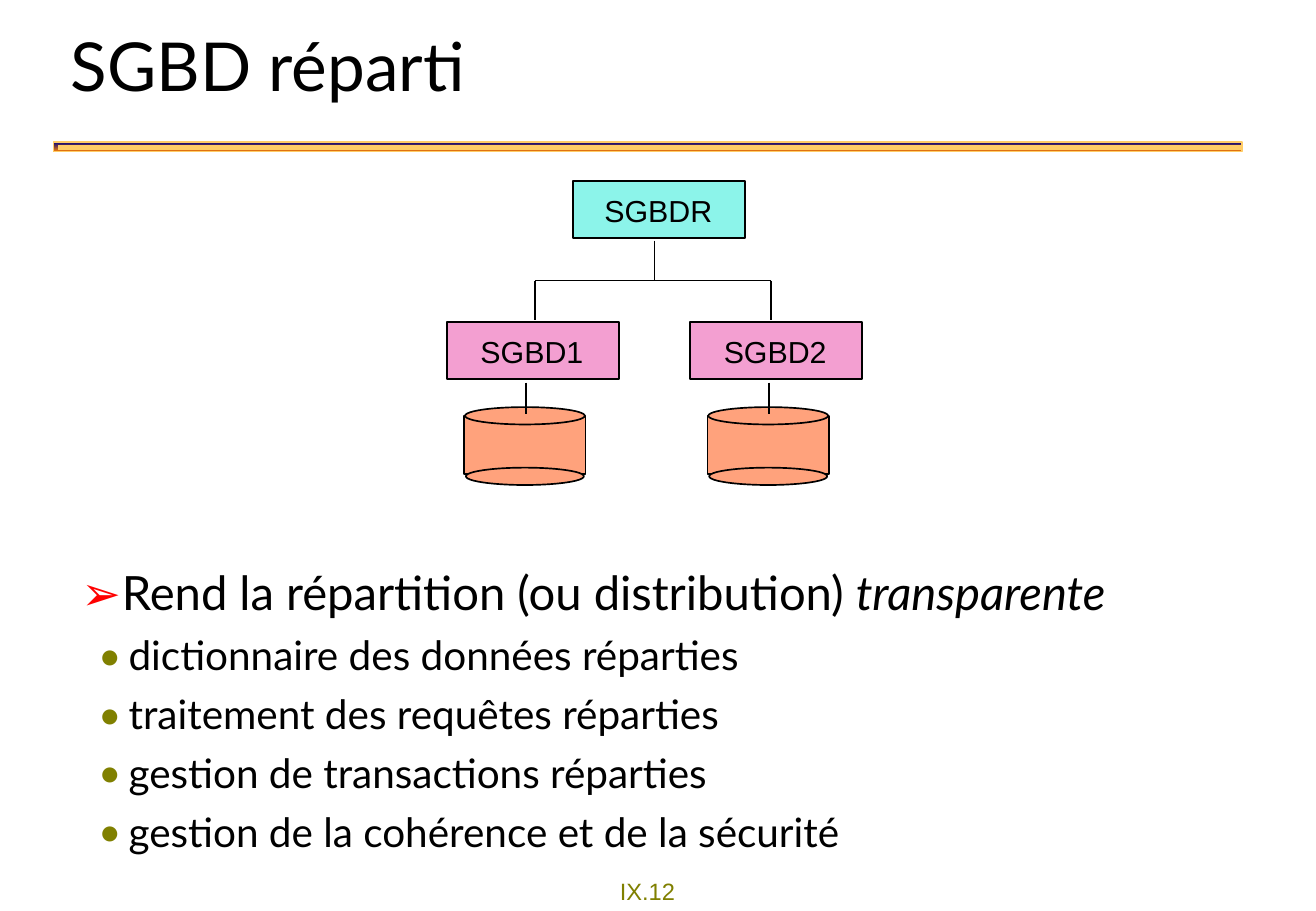
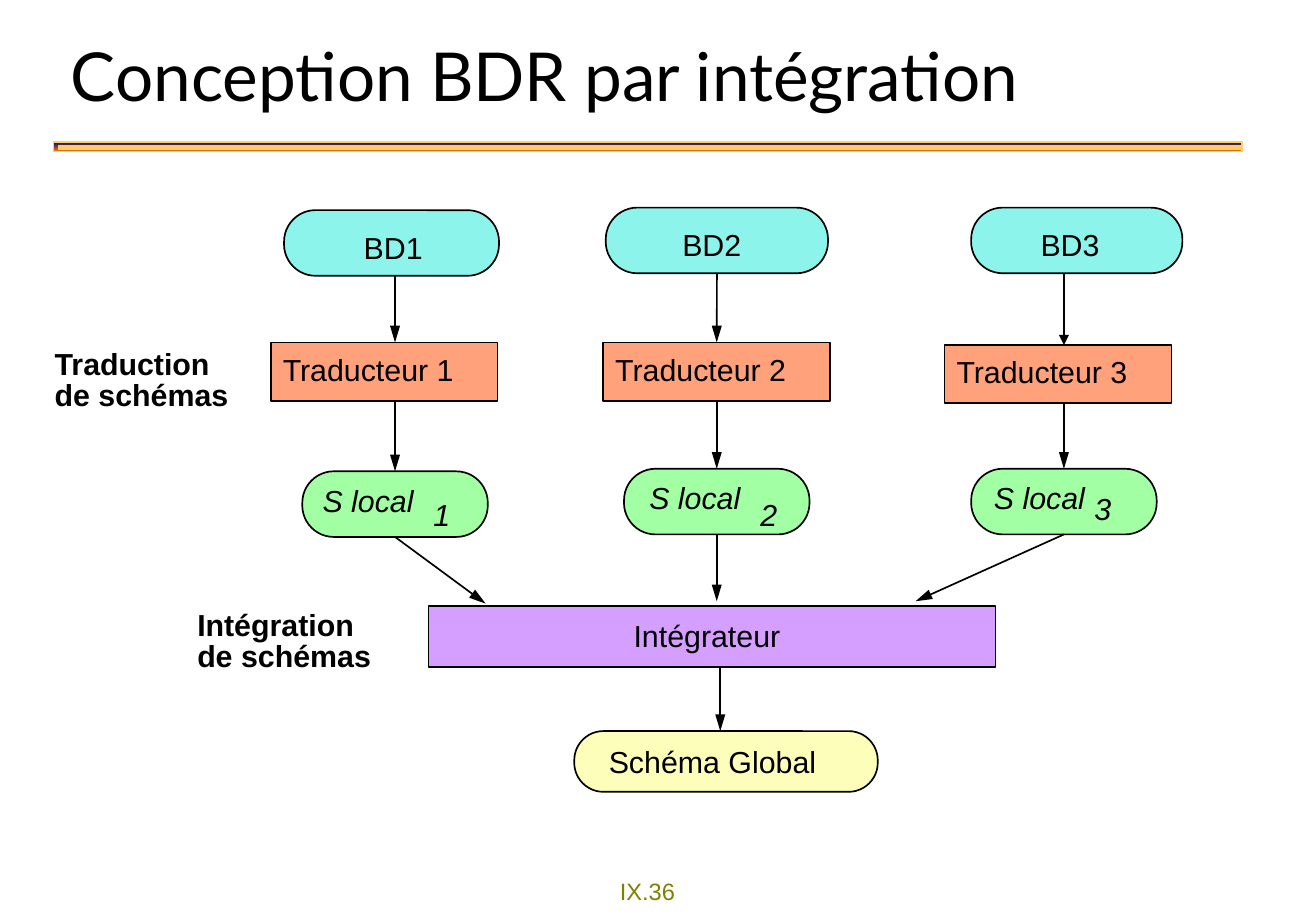
import pptx
import pptx.util
import pptx.dml.color
import pptx.enum.shapes
import pptx.enum.text
import pptx.oxml.ns
import lxml.etree

Pt = pptx.util.Pt
qn = pptx.oxml.ns.qn
SHAPE = pptx.enum.shapes.MSO_SHAPE
ALIGN = pptx.enum.text.PP_ALIGN
ANCHOR = pptx.enum.text.MSO_ANCHOR
RGB = pptx.dml.color.RGBColor.from_string

COLOURS = {
    "black": "000000", "olive": "808000", "red": "FF0000",
    "band_top": "000082", "band_bottom": "FF8200", "band_line": "FFCC66",
    "cyan": "8CF4EA", "pink": "F39FD1", "orange": "FFA27C",
    "green": "A2FFA3", "violet": "D49FFF", "yellow": "FCFEB9",
}
TITLE_FONT = "Lato"


def add_text(page, text, x, y, w, h, *, shape=None, fill=None, font="Arial",
             size=18, colour="black", bold=False, italic=False, align=ALIGN.LEFT,
             anchor=ANCHOR.TOP, margins=(7.2, 3.6), shift=(0, 0), spacing=None):
    """Text box or filled shape; *stars* mark italics, shift moves centred text."""
    if shape is None:
        box = page.shapes.add_textbox(Pt(x), Pt(y), Pt(w), Pt(h))
    else:
        box = page.shapes.add_shape(shape, Pt(x), Pt(y), Pt(w), Pt(h))
        box.shadow.inherit = False
        box.fill.solid()
        box.fill.fore_color.rgb = RGB(COLOURS[fill])
        box.line.color.rgb = RGB(COLOURS["black"])
        box.line.width = Pt(1)
        if shape == SHAPE.ROUNDED_RECTANGLE:
            box.adjustments[0] = 0.48
        align, anchor, margins = ALIGN.CENTER, ANCHOR.MIDDLE, (0, 0)
    frame = box.text_frame
    frame.word_wrap = True
    frame.vertical_anchor = anchor
    frame.margin_left = Pt(margins[0] + max(0, 2 * shift[0]))
    frame.margin_right = Pt(margins[0] + max(0, -2 * shift[0]))
    frame.margin_top = Pt(margins[1] + max(0, 2 * shift[1]))
    frame.margin_bottom = Pt(margins[1] + max(0, -2 * shift[1]))
    for index, line in enumerate(text.split("\n") if text else []):
        para = frame.add_paragraph() if index else frame.paragraphs[0]
        para.alignment = align
        if spacing:
            para.line_spacing = spacing
        for number, part in enumerate(line.split("*")):
            if not part:
                continue
            span = para.add_run()
            span.text = part
            span.font.name = font
            span.font.size = Pt(size)
            span.font.bold = bold
            span.font.italic = italic or number % 2 == 1
            span.font.color.rgb = RGB(COLOURS[colour])
    return box


def add_line(page, start, end, *, colour="black", width=1, head=None):
    """Line between two ends, each a point or a box (its bottom, then its top)."""
    line = page.shapes.add_connector(
        pptx.enum.shapes.MSO_CONNECTOR.STRAIGHT, Pt(0), Pt(0), Pt(0), Pt(0))
    if isinstance(start, tuple):
        line.begin_x, line.begin_y = Pt(start[0]), Pt(start[1])
    else:
        line.begin_connect(start, 2)
    if isinstance(end, tuple):
        line.end_x, line.end_y = Pt(end[0]), Pt(end[1])
    else:
        line.end_connect(end, 0)
    line.line.color.rgb = RGB(COLOURS[colour])
    line.line.width = Pt(width)
    properties = line.element.spPr
    if head:
        lxml.etree.SubElement(properties.find(qn("a:ln")), qn("a:tailEnd"),
                              type="triangle", w="med", len=head)
    lxml.etree.SubElement(properties, qn("a:effectLst"))
    return line


deck = pptx.Presentation()
deck.slide_width, deck.slide_height = Pt(780.48), Pt(540)

# Shared title, band and page number
pages = []
for title, title_top, number in [("SGBD réparti", 13.5, "IX.12"),
                                 ("Conception BDR par intégration", 19, "IX.36")]:
    page = deck.slides.add_slide(deck.slide_layouts[6])
    pages.append(page)
    add_text(page, number, 360.5, 516.5, 96, 23.5, size=14, colour="olive")
    band = page.shapes.add_shape(SHAPE.RECTANGLE, Pt(31.7), Pt(84.2), Pt(705), Pt(5.8))
    band.shadow.inherit = False
    band.fill.gradient()
    band.fill.gradient_angle = 270
    for stop, name in zip(band.fill.gradient_stops, ["band_top", "band_bottom"]):
        stop.color.rgb = RGB(COLOURS[name])
    band.line.color.rgb = RGB(COLOURS["band_line"])
    band.line.width = Pt(0.75)
    add_line(page, (34.6, 87.4), (736.6, 87.4), colour="band_line", width=3)
    add_text(page, title, 35, title_top, 702, 50, font=TITLE_FONT, size=40,
             anchor=ANCHOR.MIDDLE)
distributed, integration = pages

# Slide 1: system tree
for label, x, y, fill in [("SGBDR", 340, 107.3, "cyan"),
                          ("SGBD1", 265, 190.8, "pink"),
                          ("SGBD2", 409.3, 190.8, "pink")]:
    add_text(distributed, label, x, y, 102, 34, shape=SHAPE.RECTANGLE, fill=fill,
             shift=(-0.5, 0.5))
for x in (275.3, 419.6):
    for shape, dx, y, w, h in [(SHAPE.RECTANGLE, 0, 246.5, 72, 34.5),
                               (SHAPE.OVAL, 1, 277.2, 70, 10.3),
                               (SHAPE.OVAL, 0.5, 241.3, 71, 10.3)]:
        add_text(distributed, "", x + dx, y, w, h, shape=shape, fill="orange")
    add_line(distributed, (x + 36.5, 226.8), (x + 36.5, 245.5))
add_line(distributed, (388.1, 142.6), (388.1, 166))
add_line(distributed, (317.5, 166.3), (457.2, 166.3))
for x in (317.5, 457.2):
    add_line(distributed, (x, 166.3), (x, 189.5))

# Slide 1: bullet list
body = add_text(distributed, "\n".join([
    "Rend la répartition (ou distribution) *transparente*",
    "dictionnaire des données réparties",
    "traitement des requêtes réparties",
    "gestion de transactions réparties",
    "gestion de la cohérence et de la sécurité",
]), 31.7, 330.5, 717, 181, font=TITLE_FONT, size=24)
for index, para in enumerate(body.text_frame.paragraphs):
    if index:
        left, indent, mark, colour = 37.5, -18, "•", "olive"
        para.space_before = Pt(6)
    else:
        left, indent, mark, colour = 33.5, -24, "➢", "red"
        for span in para.runs:
            span.font.size = Pt(28)
    settings = para._p.get_or_add_pPr()
    settings.set("marL", str(Pt(left)))
    settings.set("indent", str(Pt(indent)))
    bullet_colour = lxml.etree.SubElement(settings, qn("a:buClr"))
    lxml.etree.SubElement(bullet_colour, qn("a:srgbClr"), val=COLOURS[colour])
    lxml.etree.SubElement(settings, qn("a:buFont"), typeface=TITLE_FONT)
    lxml.etree.SubElement(settings, qn("a:buChar"), char=mark)

# Slide 2: step labels
for label, x, y in [("Traduction\nde schémas", 27.4, 206),
                    ("Intégration\nde schémas", 112, 360.5)]:
    add_text(integration, label, x, y, 120, 41, bold=True, spacing=0.85,
             margins=(5, 2))

# Slide 2: integrator and global schema
integrator = add_text(integration, "Intégrateur", 254.2, 359.3, 336.2, 36,
                      shape=SHAPE.RECTANGLE, fill="violet", shift=(-3, -0.5))
add_line(integration, (427.2, 395.3), (427.2, 433.4), head="lg")
add_text(integration, "Schéma Global", 340.6, 433.4, 180, 36,
         shape=SHAPE.ROUNDED_RECTANGLE, fill="yellow", shift=(-8, 0))

# Slide 2: one column per database, from source to local schema
columns = [
    # source x, width, shift; translator x, y; local x, shift; digit dx, dy; row offset; tip
    (168.5, 127.5, 1, 160.6, 203, 179.3, -16, 70.6, 13.5, 1.5, (288, 357.8)),
    (359.3, 131.8, -3, 357.8, 203, 370.1, -13, 73.8, 15, 0, (425.1, 356.4)),
    (576, 125.3, -4, 560.2, 204.5, 576, -14.5, 66, 11.5, 0, (543, 356.4)),
]
for index, (source_x, source_w, source_dx, translator_x, translator_y, local_x,
            local_dx, digit_dx, digit_dy, offset, tip) in enumerate(columns, 1):
    source_y, local_y, middle = 123.1 + offset, 277.9 + offset, local_x + 55
    source = add_text(integration, f"BD{index}", source_x, source_y, source_w, 38.9,
                      shape=SHAPE.ROUNDED_RECTANGLE, fill="cyan", shift=(source_dx, 2.5))
    translator = add_text(integration, f"Traducteur {index}", translator_x,
                          translator_y, 134.6, 34.6, shape=SHAPE.RECTANGLE,
                          fill="orange", shift=(-9.5, -1.5))
    local = add_text(integration, "S local", local_x, local_y, 110, 38.9,
                     shape=SHAPE.ROUNDED_RECTANGLE, fill="green", italic=True,
                     shift=(local_dx, -2.5))
    add_text(integration, str(index), local_x + digit_dx, local_y + digit_dy,
             25, 26.6, italic=True, spacing=0.9)
    centred = index == 2
    add_line(integration, source if centred else (middle, source_y + 38.9),
             translator if centred else (middle, translator_y),
             head="med" if index == 3 else "lg")
    add_line(integration, translator if centred else (middle, translator_y + 34.6),
             local, head="lg")
    add_line(integration, local, tip, head="lg")

deck.save("out.pptx")
